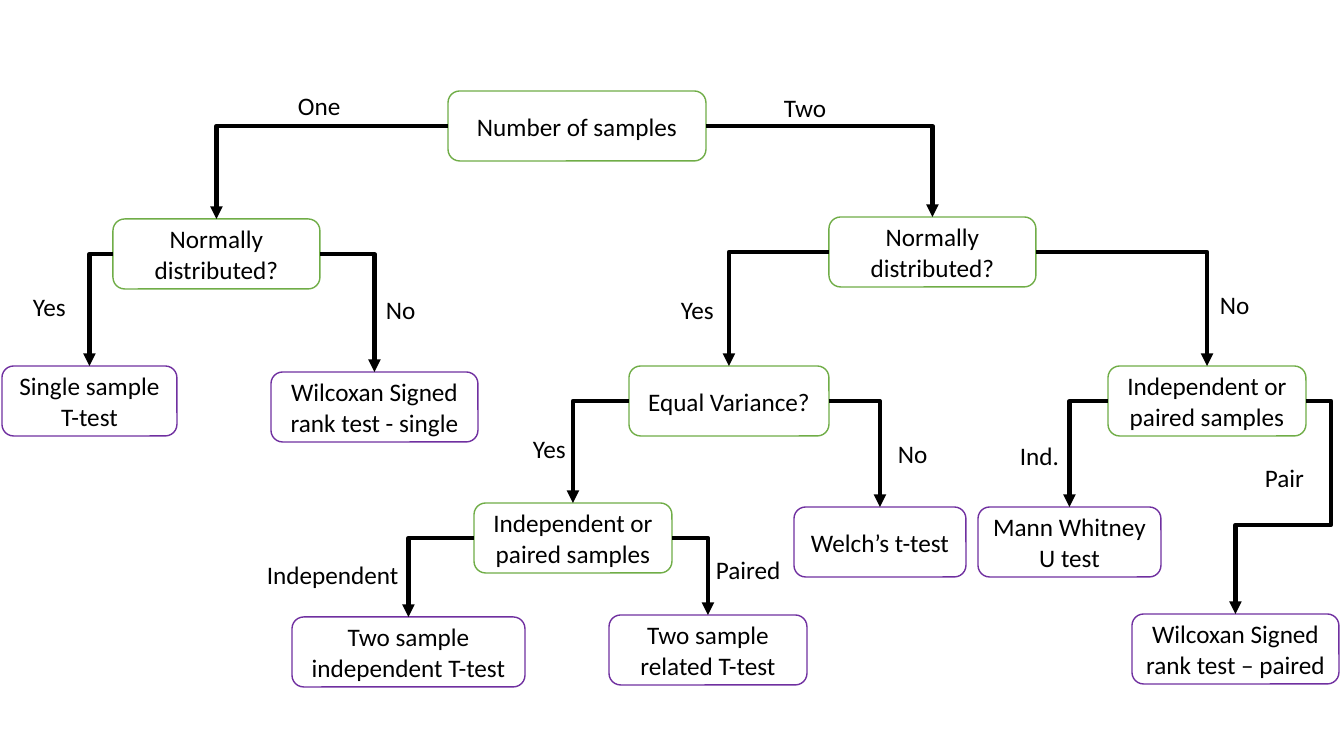
from pptx import Presentation
from pptx.dml.color import RGBColor as RGB
from pptx.enum.shapes import MSO_CONNECTOR as CONN, MSO_SHAPE as SHAPE
from pptx.enum.text import MSO_ANCHOR as ANCHOR, MSO_AUTO_SIZE as AUTO, PP_ALIGN as ALIGN
from pptx.oxml.ns import qn
from pptx.util import Pt
from lxml.etree import SubElement as sub

PX = 914400 / 100.8
TALL = 70
COLORS = {"ask": "70AD47", "test": "7030A0", "ink": "000000", "paper": "FFFFFF"}


def emu(*sizes):
    """Turn pixel lengths into EMU."""
    return [round(size * PX) for size in sizes]


def say(shape, text, align=ALIGN.LEFT, anchor=ANCHOR.TOP, wrap=True, fit=AUTO.NONE):
    """Write formatted text into a shape."""
    frame = shape.text_frame
    frame.word_wrap = wrap
    frame.auto_size = fit
    frame.vertical_anchor = anchor
    para = frame.paragraphs[0]
    para.alignment = align
    run = para.add_run()
    run.text = text
    run.font.size = Pt(18)
    run.font.name = "Calibri"
    run.font.color.rgb = RGB.from_string(COLORS["ink"])


def node(slide, box, x, y, wide, text, kind="test"):
    """Add a rounded box for a question or a test."""
    shape = slide.shapes.add_shape(
        SHAPE.ROUNDED_RECTANGLE, *emu(box[0] + x, box[1] + y, wide, TALL))
    shape.shadow.inherit = False
    shape.fill.solid()
    shape.fill.fore_color.rgb = RGB.from_string(COLORS["paper"])
    shape.line.color.rgb = RGB.from_string(COLORS[kind])
    shape.line.width = Pt(1)
    say(shape, text, align=ALIGN.CENTER, anchor=ANCHOR.MIDDLE)
    return shape


def label(slide, box, x, y, wide, text, wrap=False):
    """Add the answer beside an arrow."""
    shape = slide.shapes.add_textbox(*emu(box[0] + x, box[1] + y, wide, 40))
    say(shape, text, wrap=wrap, fit=AUTO.SHAPE_TO_FIT_TEXT)


def link(slide, start, end, right, bend="bentConnector2", guides=()):
    """Join the side of one box to the top of another with a bent arrow."""
    line = slide.shapes.add_connector(
        CONN.ELBOW,
        start.left + start.width * right, start.top + start.height // 2,
        end.left + end.width // 2, end.top)
    line.begin_connect(start, 3 if right else 1)
    line.end_connect(end, 0)
    line.line.color.rgb = RGB.from_string(COLORS["ink"])
    line.line.width = Pt(3)
    props = line._element.spPr
    shape = props.find(qn("a:prstGeom"))
    shape.set("prst", bend)
    for index, value in enumerate(guides, 1):
        sub(shape.find(qn("a:avLst")), qn("a:gd"), name=f"adj{index}", fmla=f"val {value}")
    sub(props.find(qn("a:ln")), qn("a:tailEnd"), type="triangle")
    sub(props, qn("a:effectLst"))


def fork(slide, start, left, right):
    """Point from a question to its two outcomes."""
    link(slide, start, left, False)
    link(slide, start, right, True)


def single(slide, box):
    """Draw the one-sample branch and return its first question."""
    top = node(slide, box, 111, 0, 207, "Normally distributed?", "ask")
    yes = node(slide, box, 0, 147, 175, "Single sample T-test")
    no = node(slide, box, 269, 153, 207, "Wilcoxan Signed rank test - single")
    fork(slide, top, yes, no)
    label(slide, box, 21, 67, 53, "Yes")
    label(slide, box, 374, 70, 50, "No")
    return top


def equal(slide, box):
    """Draw the equal-variance branch and return its first question."""
    top = node(slide, box, 337, 0, 200, "Equal Variance?", "ask")
    yes = node(slide, box, 182, 137, 198, "Independent or paired samples", "ask")
    no = node(slide, box, 502, 141, 172, "Welch’s t-test")
    apart = node(slide, box, 0, 251, 233, "Two sample independent T-test")
    pair = node(slide, box, 317, 249, 198, "Two sample related T-test")
    fork(slide, top, yes, no)
    fork(slide, yes, apart, pair)
    label(slide, box, 231, 62, 53, "Yes", wrap=True)
    label(slide, box, 596, 67, 53, "No", wrap=True)
    label(slide, box, -35, 188, 154, "Independent", wrap=True)
    label(slide, box, 414, 183, 100, "Paired", wrap=True)
    return top


def ranked(slide, box):
    """Draw the rank-test branch and return its first question."""
    top = node(slide, box, 130, 0, 198, "Independent or paired samples", "ask")
    apart = node(slide, box, 0, 141, 183, "Mann Whitney U test")
    pair = node(slide, box, 154, 248, 207, "Wilcoxan Signed rank test – paired")
    link(slide, top, apart, False)
    link(slide, top, pair, True, bend="bentConnector4", guides=(-36000, 58100))
    label(slide, box, 32, 69, 62, "Ind.", wrap=True)
    label(slide, box, 277, 91, 70, "Pair", wrap=True)
    return top


def double(slide, box):
    """Draw the two-sample branch and return its first question."""
    top = node(slide, box, 537, 0, 207, "Normally distributed?", "ask")
    yes = equal(slide, (box[0], box[1] + 149))
    no = ranked(slide, (box[0] + 686, box[1] + 149))
    fork(slide, top, yes, no)
    label(slide, box, 379, 72, 53, "Yes")
    label(slide, box, 918, 67, 50, "No")
    return top


def tree(slide, box):
    """Draw the whole decision tree."""
    top = node(slide, box, 446, 0, 258, "Number of samples", "ask")
    one = single(slide, (box[0], box[1] + 128))
    two = double(slide, (box[0] + 290, box[1] + 126))
    fork(slide, top, one, two)
    label(slide, box, 286, -6, 63, "One")
    label(slide, box, 772, -4, 63, "Two")


def main():
    """Build and save the slide."""
    deck = Presentation()
    deck.slide_width, deck.slide_height = emu(1344, 756)
    tree(deck.slides.add_slide(deck.slide_layouts[6]), (2, 91))
    deck.save("out.pptx")


if __name__ == "__main__":
    main()
